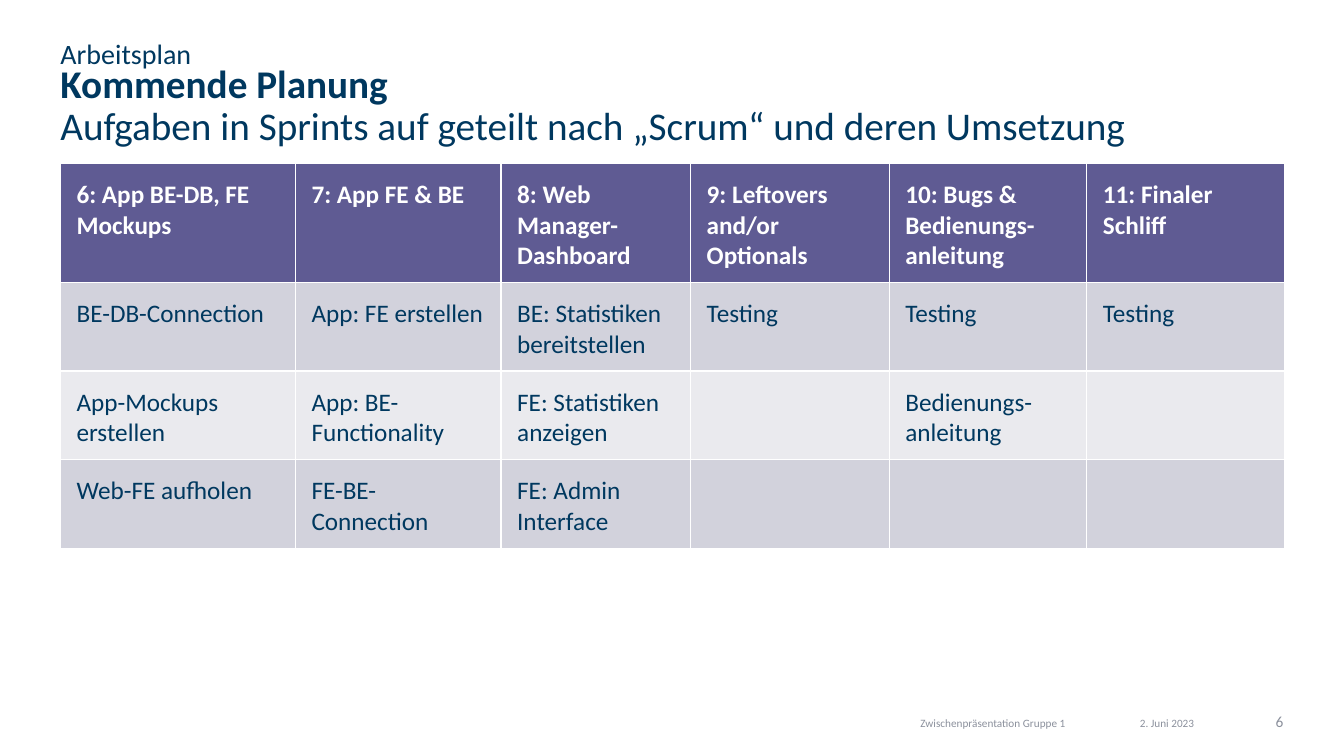
import pptx
import pptx.util
import pptx.dml.color
import pptx.enum.text

Inches = pptx.util.Inches
Pt = pptx.util.Pt
ALIGN = pptx.enum.text.PP_ALIGN

FONT = "Calibri"
COLORS = {
    "navy": "00385F",
    "grey": "8C919D",
    "white": "FFFFFF",
    "header": "5F5B93",
    "band_dark": "D2D2DC",
    "band_light": "EAEAEE",
}

COLUMN_WIDTHS = [2.33, 2.04, 1.88, 1.97, 1.96, 1.96]
ROW_HEIGHTS = [1.17, 0.87, 0.87, 0.87]
SPRINTS = [
    ["6: App BE-DB, FE Mockups", "7: App FE & BE", "8: Web Manager-Dashboard",
     "9: Leftovers and/or Optionals", "10: Bugs & Bedienungs-anleitung",
     "11: Finaler Schliff"],
    ["BE-DB-Connection", "App: FE erstellen", "BE: Statistiken bereitstellen",
     "Testing", "Testing", "Testing"],
    ["App-Mockups erstellen", "App: BE-Functionality",
     "FE: Statistiken anzeigen", "", "Bedienungs-anleitung", ""],
    ["Web-FE aufholen", "FE-BE-Connection", "FE: Admin Interface", "", "", ""],
]


def rgb(name):
    return pptx.dml.color.RGBColor.from_string(COLORS[name])


def style(font, size, color, bold=False):
    font.name = FONT
    font.size = Pt(size)
    font.bold = bold
    font.color.rgb = rgb(color)


def add_text(s, box, text, size, color, align=ALIGN.LEFT, top=0, spacing=None):
    """Add a one-paragraph text box and return its paragraph."""
    tf = s.shapes.add_textbox(*map(Inches, box)).text_frame
    tf.word_wrap = True
    tf.margin_left = tf.margin_right = tf.margin_bottom = 0
    tf.margin_top = Inches(top)
    p = tf.paragraphs[0]
    p.text = text
    p.alignment = align
    p.line_spacing = spacing
    for r in p.runs:
        style(r.font, size, color)
    return p


def add_heading(s, left, top, width):
    add_text(s, (left, top, width, 0.31), "Arbeitsplan", 20, "navy",
             top=0.02, spacing=1.17)
    title = add_text(
        s, (left, top + 0.35, width, 0.94),
        "Kommende Planung\vAufgaben in Sprints auf geteilt nach „Scrum“ "
        "und deren Umsetzung", 28, "navy", spacing=0.9)
    title.runs[0].font.bold = True


def add_sprint_table(s, left, top, width):
    table = s.shapes.add_table(
        len(ROW_HEIGHTS), len(COLUMN_WIDTHS), Inches(left), Inches(top),
        Inches(width), Inches(sum(ROW_HEIGHTS))).table
    for column, column_width in zip(table.columns, COLUMN_WIDTHS):
        column.width = Inches(column_width)
    for i, (row, height) in enumerate(zip(table.rows, ROW_HEIGHTS)):
        row.height = Inches(height)
        is_header = i == 0
        fill = "header" if is_header else "band_dark" if i % 2 else "band_light"
        for cell, text in zip(row.cells, SPRINTS[i]):
            cell.fill.solid()
            cell.fill.fore_color.rgb = rgb(fill)
            cell.margin_left = cell.margin_right = Inches(0.16)
            cell.margin_top = Inches(0.16)
            cell.margin_bottom = Inches(0.12)
            cell.text = text
            for r in cell.text_frame.paragraphs[0].runs:
                style(r.font, 18, "white" if is_header else "navy", is_header)


def add_footer(s, right, top):
    height = 0.16
    add_text(s, (right - 6.86, top, 4.7, height),
             "Zwischenpräsentation Gruppe 1", 8, "grey", ALIGN.RIGHT, 0.05)
    add_text(s, (right - 1.98, top, 1.65, height),
             "2. Juni 2023", 8, "grey", ALIGN.CENTER, 0.05)
    add_text(s, (right - 0.32, top, 0.32, height),
             "6", 11, "grey", ALIGN.RIGHT, 0.01)


def main():
    prs = pptx.Presentation()
    prs.slide_width = Inches(13.33)
    prs.slide_height = Inches(7.5)
    s = prs.slides.add_slide(prs.slide_layouts[6])
    left, width = 0.6, 12.13
    add_heading(s, left, 0.29, width)
    add_sprint_table(s, left, 1.62, width)
    add_footer(s, left + width, 7.06)
    prs.save("out.pptx")


if __name__ == "__main__":
    main()
